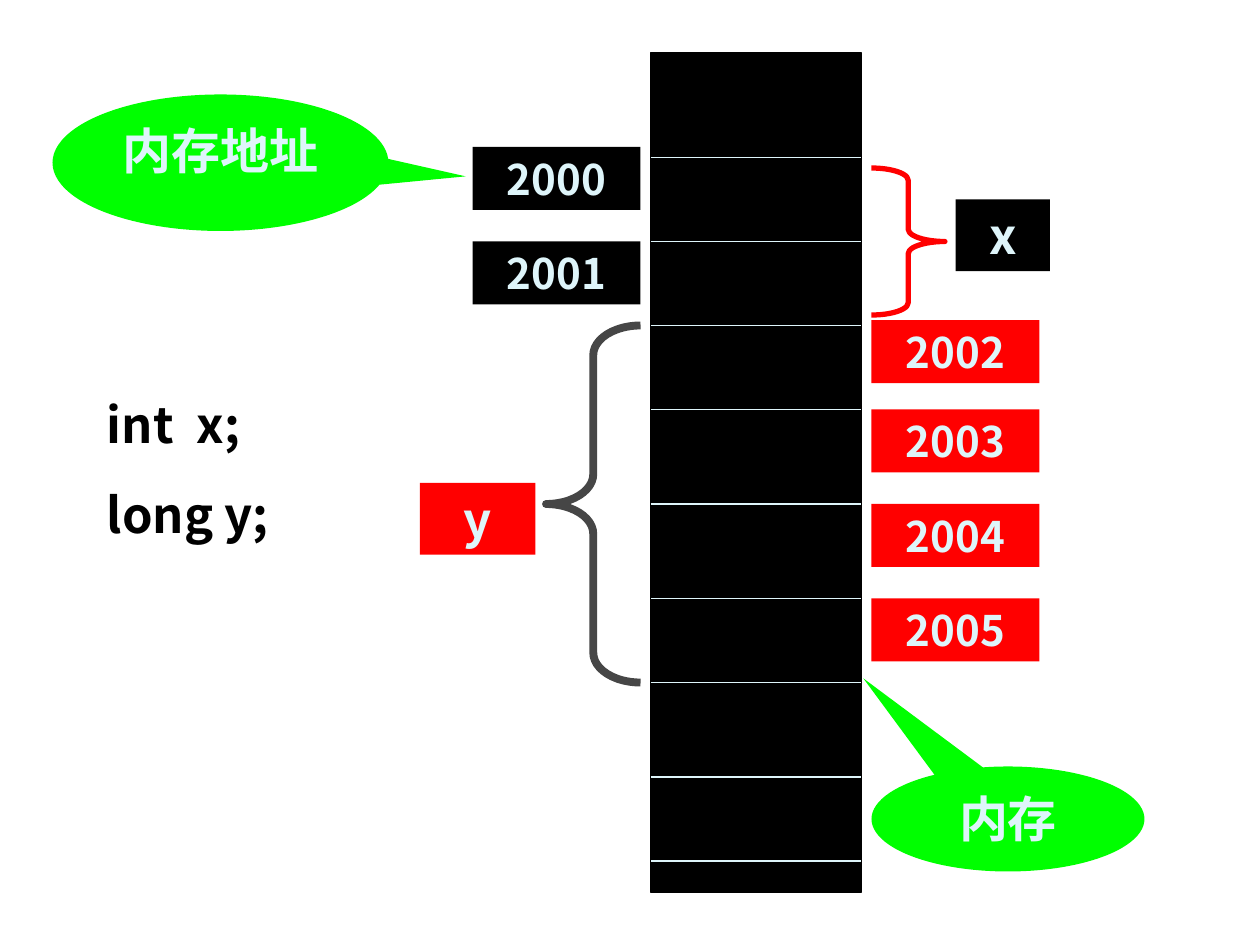
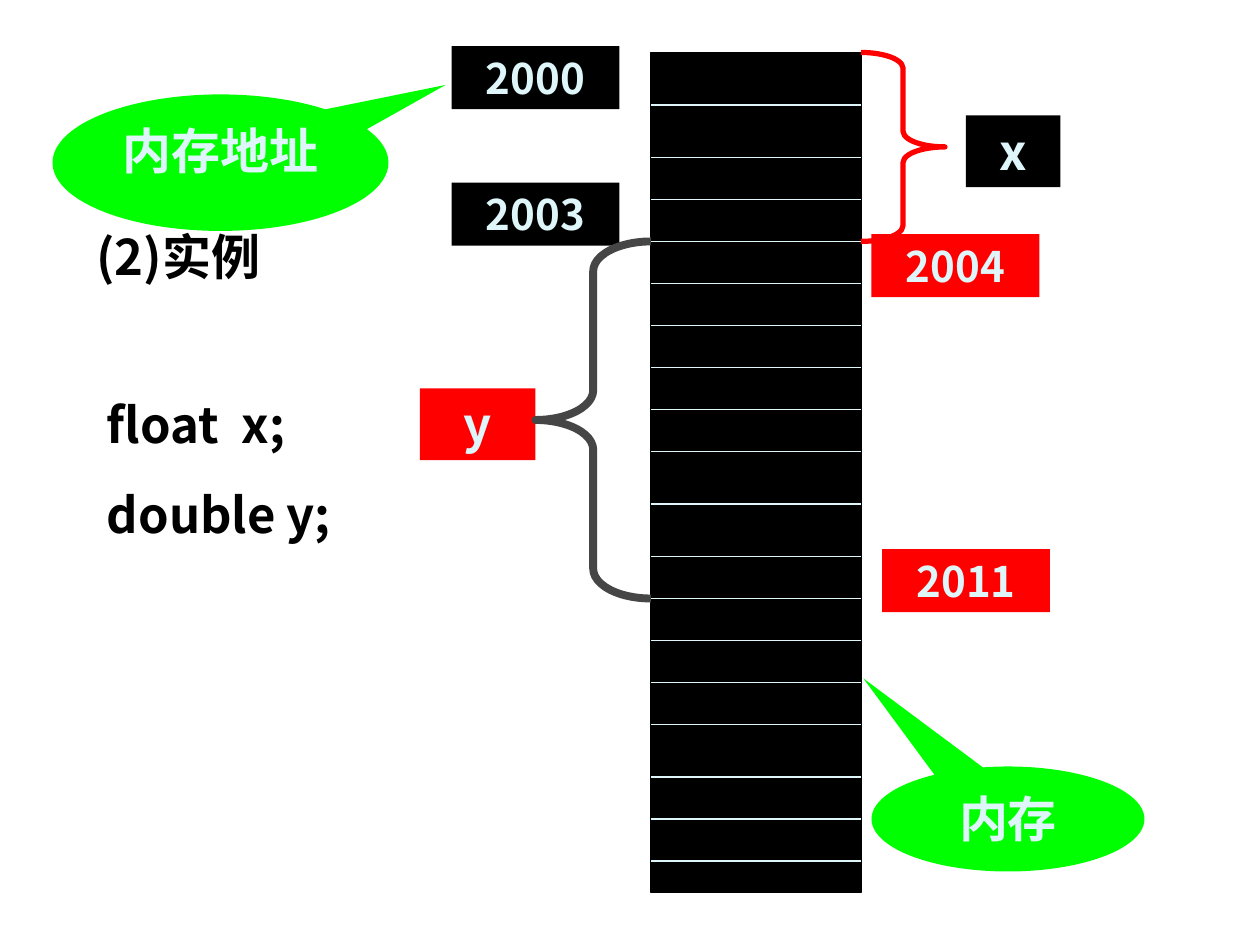
from pptx import Presentation
from pptx.dml.color import RGBColor
from pptx.enum.shapes import MSO_CONNECTOR, MSO_SHAPE
from pptx.enum.text import MSO_ANCHOR, PP_ALIGN
from pptx.oxml.ns import qn
from pptx.util import Cm, Pt

RECTANGLE = MSO_SHAPE.RECTANGLE
LEFT_BRACE, RIGHT_BRACE = MSO_SHAPE.LEFT_BRACE, MSO_SHAPE.RIGHT_BRACE
CALLOUT = MSO_SHAPE.OVAL_CALLOUT
STRAIGHT = MSO_CONNECTOR.STRAIGHT
LEFT, CENTER = PP_ALIGN.LEFT, PP_ALIGN.CENTER
TOP, MIDDLE = MSO_ANCHOR.TOP, MSO_ANCHOR.MIDDLE

COLORS = {
    "black": "000000",
    "red": "FF0000",
    "green": "00FF00",
    "gray": "464646",
    "pale": "DEF5FA",
}
FONT = "Noto Sans CJK SC"
LARGE, SMALL = 28, 24
BLANK_LAYOUT = 6

# Positions below are counted in grid steps of a twelfth of an inch.
MEMORY_LEFT, MEMORY_TOP, MEMORY_WIDTH, MEMORY_HEIGHT = 62, 5, 20, 80
CELL_EDGES = [10, 15, 19, 23, 27, 31, 35, 39, 43, 48, 53, 57, 61, 65, 69, 74, 78, 82]
ADDRESS_WIDTH, ADDRESS_HEIGHT = 16, 6
NAME_HEIGHT = 6.84


def grid(steps):
    """Convert grid steps to a length."""
    return Cm(steps * 2.54 / 12)


def color(name):
    return RGBColor.from_string(COLORS[name])


def write(shape, lines, size, color_name, alignment=CENTER, anchor=MIDDLE):
    frame = shape.text_frame
    frame.word_wrap = True
    frame.vertical_anchor = anchor
    frame.text = "\n".join(lines)
    for index, paragraph in enumerate(frame.paragraphs):
        paragraph.alignment = alignment
        if index:
            paragraph.space_before = Pt(17.5)
        font = paragraph.font
        font.name, font.size, font.bold = FONT, Pt(size), True
        font.color.rgb = color(color_name)
        for run in paragraph.runs:
            properties = run._r.get_or_add_rPr()
            properties.makeelement(qn("a:ea"), {})
            east_asian = properties.makeelement(qn("a:ea"), {"typeface": FONT})
            properties.append(east_asian)


def add_text(slide, box, lines):
    text_box = slide.shapes.add_textbox(*map(grid, box))
    write(text_box, lines, LARGE, "black", LEFT, TOP)


def add_filled(slide, kind, box, fill):
    shape = slide.shapes.add_shape(kind, *map(grid, box))
    shape.shadow.inherit = False
    shape.fill.solid()
    shape.fill.fore_color.rgb = color(fill)
    shape.line.fill.background()
    return shape


def add_callout(slide, box, text, tip):
    callout = add_filled(slide, CALLOUT, box, "green")
    callout.adjustments[0], callout.adjustments[1] = tip
    write(callout, [text], LARGE, "pale", anchor=TOP)


def add_brace(slide, kind, box, line_color, line_width):
    brace = slide.shapes.add_shape(kind, *map(grid, box))
    brace.shadow.inherit = False
    brace.fill.background()
    brace.line.color.rgb = color(line_color)
    brace.line.width = Pt(line_width)
    width, height = box[2:]
    brace.adjustments[0] = height / 12 / min(width, height)


def add_memory(slide, cell_edges):
    """Draw the memory column with a thin line at each cell edge."""
    box = MEMORY_LEFT, MEMORY_TOP, MEMORY_WIDTH, MEMORY_HEIGHT
    column = add_filled(slide, RECTANGLE, box, "black")
    column.line.color.rgb = color("black")
    column.line.width = Pt(0.75)
    left, right = grid(MEMORY_LEFT), grid(MEMORY_LEFT + MEMORY_WIDTH)
    for edge in cell_edges:
        line = slide.shapes.add_connector(STRAIGHT, left, grid(edge), right, grid(edge))
        line.line.color.rgb = color("pale")
        line.line.width = Pt(1)
        properties = line._element.spPr
        properties.append(properties.makeelement(qn("a:effectLst"), {}))


def add_variable(slide, name, name_box, fill, addresses):
    """Draw a variable's name and the addresses it takes up."""
    for address, left, top in addresses:
        box = left, top, ADDRESS_WIDTH, ADDRESS_HEIGHT
        label = add_filled(slide, RECTANGLE, box, fill)
        write(label, [address], SMALL, "pale")
    name_label = add_filled(slide, RECTANGLE, (*name_box, NAME_HEIGHT), fill)
    write(name_label, [name], LARGE, "pale")


def add_memory_slide(presentation, cell_edges, declarations, x, y, address_tip):
    layout = presentation.slide_layouts[BLANK_LAYOUT]
    slide = presentation.slides.add_slide(layout)
    add_text(slide, (9, 37, 26, 15.4), declarations)
    add_memory(slide, cell_edges)
    add_brace(slide, RIGHT_BRACE, x["brace"], "red", 3)
    add_variable(slide, "x", (*x["name_at"], 9), "black", x["addresses"])
    add_variable(slide, "y", (*y["name_at"], 11), "red", y["addresses"])
    add_brace(slide, LEFT_BRACE, y["brace"], "gray", 4.5)
    add_callout(slide, (83, 73, 26, 10), "内存", (-0.53, -1.34))
    add_callout(slide, (5, 9, 32, 13), "内存地址", address_tip)
    return slide


def main():
    presentation = Presentation()
    presentation.slide_width, presentation.slide_height = Cm(25.4), Cm(19.05)

    add_memory_slide(
        presentation,
        CELL_EDGES[1::2],
        ["int  x;", "long y;"],
        x={
            "brace": (83, 16, 7, 14),
            "name_at": (91, 19),
            "addresses": [("2000", 45, 14), ("2001", 45, 23)],
        },
        y={
            "brace": (52, 31, 9, 34),
            "name_at": (40, 46),
            "addresses": [
                ("2002", 83, 30.5),
                ("2003", 83, 39),
                ("2004", 83, 48),
                ("2005", 83, 57),
            ],
        },
        address_tip=(0.73, 0.1),
    )

    example_slide = add_memory_slide(
        presentation,
        CELL_EDGES,
        ["float  x;", "double y;"],
        x={
            "brace": (82, 5, 8, 18),
            "name_at": (92, 11),
            "addresses": [("2000", 43, 4.4), ("2003", 43, 17.4)],
        },
        y={
            "brace": (51, 23, 11, 34),
            "name_at": (40, 37),
            "addresses": [("2004", 83, 22.3), ("2011", 84, 52.3)],
        },
        address_tip=(0.67, -0.57),
    )
    add_text(example_slide, (8, 21, 29, NAME_HEIGHT), ["(2)实例"])

    presentation.save("out.pptx")


if __name__ == "__main__":
    main()
